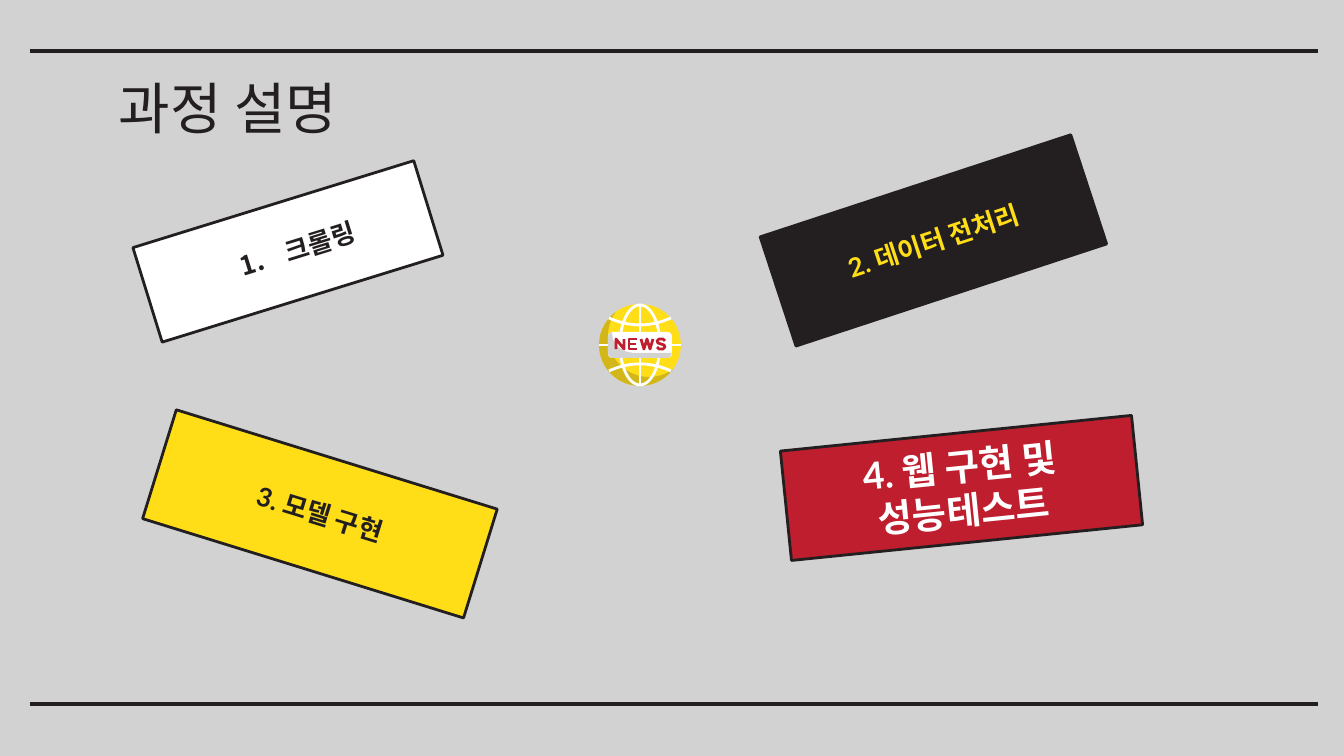
from dataclasses import dataclass
from math import cos, radians, sin

from lxml.etree import SubElement
from pptx import Presentation
from pptx.dml.color import RGBColor
from pptx.enum.shapes import MSO_CONNECTOR, MSO_SHAPE
from pptx.enum.text import MSO_ANCHOR, PP_ALIGN
from pptx.oxml.ns import qn
from pptx.util import Pt

EMU_PER_PX = 914400 / 134.4


@dataclass(frozen=True)
class Theme:
    background: str = "D3D2D2"
    ink: str = "231F20"
    white: str = "FFFFFF"
    yellow: str = "FFDE17"
    red: str = "BE1E2D"
    title_font: str = "Roboto Slab"
    body_font: str = "Lato"
    title_size: int = 30
    card_size: int = 14
    large_size: int = 20
    rule: float = 2.25
    outline: float = 1.5


THEME = Theme()
SLIDE_SIZE = (1344, 756)
INSET = 13
TITLE = ("과정 설명", (106, 65, 1133, 85))
RULES = [51, 704]
RULE_ENDS = (30, 1318)

# text, box, rotation, fill, text colour, size, numbered list
CARDS = [
    ("4. 웹 구현 및 성능테스트", (785, 433, 353, 110), -5.8,
     THEME.red, THEME.white, THEME.large_size, False),
    ("2. 데이터 전처리", (770, 183, 327, 115), -18.2,
     THEME.ink, THEME.yellow, THEME.card_size, False),
    ("3. 모델 구현", (152, 457, 336, 114), 17.2,
     THEME.yellow, THEME.ink, THEME.card_size, False),
    ("크롤링", (141, 202, 294, 99), -17.2,
     THEME.white, THEME.ink, THEME.card_size, True),
]

GLOBE_CENTER, GLOBE_RADIUS = (640, 345), 41
MERIDIAN_HALF_WIDTH = 20
LATITUDES = [(318, 325), (371, 364)]  # height at the ends, height in the middle
BANNER = (608, 332, 64, 26)
BANNER_SHADE = [(612, 332), (613, 339), (617, 346), (624, 351), (633, 353),
                (672, 353), (670, 357), (668, 358), (612, 358), (609, 356),
                (608, 354), (608, 336), (610, 333)]
LETTERS = [
    [[(616, 349), (616, 339), (624, 349), (624, 339)]],
    [[(637, 339), (629, 339), (629, 349), (637, 349)], [(629, 344), (636, 344)]],
    [[(641, 339), (644, 349), (647, 339), (650, 349), (653, 339)]],
    [[(665, 341), (663, 339), (659, 339), (657, 341), (658, 343),
      (664, 345), (665, 347), (663, 349), (659, 349), (657, 347)]],
]


def px(value):
    return round(value * EMU_PER_PX)


def box_emu(box):
    return [px(value) for value in box]


def color(value):
    return RGBColor.from_string(value)


def paint(shape, fill=None, line=None, width=THEME.outline, alpha=None):
    shape.shadow.inherit = False
    if fill:
        shape.fill.solid()
        shape.fill.fore_color.rgb = color(fill)
        if alpha:
            solid = shape.fill._xPr.find(qn("a:solidFill"))
            SubElement(solid[0], qn("a:alpha")).set("val", str(alpha * 1000))
    else:
        shape.fill.background()
    if line:
        shape.line.color.rgb = color(line)
        shape.line.width = Pt(width)
    else:
        shape.line.fill.background()


def add_line(shapes, start, end, line, width):
    connector = shapes.add_connector(
        MSO_CONNECTOR.STRAIGHT, *box_emu(start), *box_emu(end))
    connector.line.color.rgb = color(line)
    connector.line.width = Pt(width)
    SubElement(connector._element.spPr, qn("a:effectLst"))


def add_path(shapes, points, close=False, **style):
    first, *rest = [tuple(box_emu(point)) for point in points]
    builder = shapes.build_freeform(*first, scale=1.0)
    builder.add_line_segments(rest, close=close)
    paint(builder.convert_to_shape(), **style)


def write(shape, text, font_name, size, text_color, bold=False,
          align=PP_ALIGN.LEFT, numbered=False):
    frame = shape.text_frame
    frame.word_wrap = True
    frame.vertical_anchor = MSO_ANCHOR.MIDDLE
    frame.margin_left = frame.margin_right = px(INSET)
    frame.margin_top = frame.margin_bottom = px(INSET)
    paragraph = frame.paragraphs[0]
    paragraph.text = text
    paragraph.alignment = align
    if numbered:
        properties = paragraph._p.get_or_add_pPr()
        properties.set("marL", str(px(67)))
        properties.set("indent", str(-px(47)))
        SubElement(properties, qn("a:buAutoNum")).set("type", "arabicPeriod")
    font = paragraph.font
    font.name, font.size, font.bold = font_name, Pt(size), bold
    font.color.rgb = color(text_color)


def arc(center, start, end, steps=32):
    angles = [radians(start + (end - start) * i / steps) for i in range(steps + 1)]
    return [(center[0] + GLOBE_RADIUS * cos(angle),
             center[1] + GLOBE_RADIUS * sin(angle)) for angle in angles]


def add_globe(shapes):
    x, y = GLOBE_CENTER
    radius = GLOBE_RADIUS
    globe = shapes.add_shape(MSO_SHAPE.OVAL, *box_emu(
        (x - radius, y - radius, 2 * radius, 2 * radius)))
    paint(globe, THEME.yellow)
    crescent = arc(GLOBE_CENTER, 36, 234) + arc((x + 9, y - 9), 216, 54)
    add_path(shapes, crescent, close=True, fill=THEME.ink, alpha=20)

    add_line(shapes, (x - radius, y), (x + radius, y), THEME.white, THEME.outline)
    add_line(shapes, (x, y - radius), (x, y + radius), THEME.white, THEME.outline)
    meridian = shapes.add_shape(MSO_SHAPE.OVAL, *box_emu(
        (x - MERIDIAN_HALF_WIDTH, y - radius + 1,
         2 * MERIDIAN_HALF_WIDTH, 2 * radius - 2)))
    paint(meridian, line=THEME.white)
    for end_y, middle_y in LATITUDES:
        curve = [(x + 31 * i / 8, middle_y + (end_y - middle_y) * (i / 8) ** 2)
                 for i in range(-8, 9)]
        add_path(shapes, curve, line=THEME.white)

    banner = shapes.add_shape(MSO_SHAPE.ROUNDED_RECTANGLE, *box_emu(BANNER))
    paint(banner, THEME.white)
    add_path(shapes, BANNER_SHADE, close=True, fill=THEME.ink, alpha=20)
    for letter in LETTERS:
        for stroke in letter:
            add_path(shapes, stroke, line=THEME.red)


def main():
    presentation = Presentation()
    presentation.slide_width, presentation.slide_height = box_emu(SLIDE_SIZE)
    slide = presentation.slides.add_slide(presentation.slide_layouts[6])
    slide.background.fill.solid()
    slide.background.fill.fore_color.rgb = color(THEME.background)

    left, right = RULE_ENDS
    for y in RULES:
        add_line(slide.shapes, (left, y), (right, y), THEME.ink, THEME.rule)

    text, box = TITLE
    title = slide.shapes.add_textbox(*box_emu(box))
    write(title, text, THEME.title_font, THEME.title_size, THEME.ink)

    for text, box, rotation, fill, text_color, size, numbered in CARDS:
        card = slide.shapes.add_shape(MSO_SHAPE.RECTANGLE, *box_emu(box))
        card.rotation = rotation
        paint(card, fill, THEME.ink)
        write(card, text, THEME.body_font, size, text_color, True,
              PP_ALIGN.CENTER, numbered)

    add_globe(slide.shapes.add_group_shape().shapes)
    presentation.save("out.pptx")


if __name__ == "__main__":
    main()
